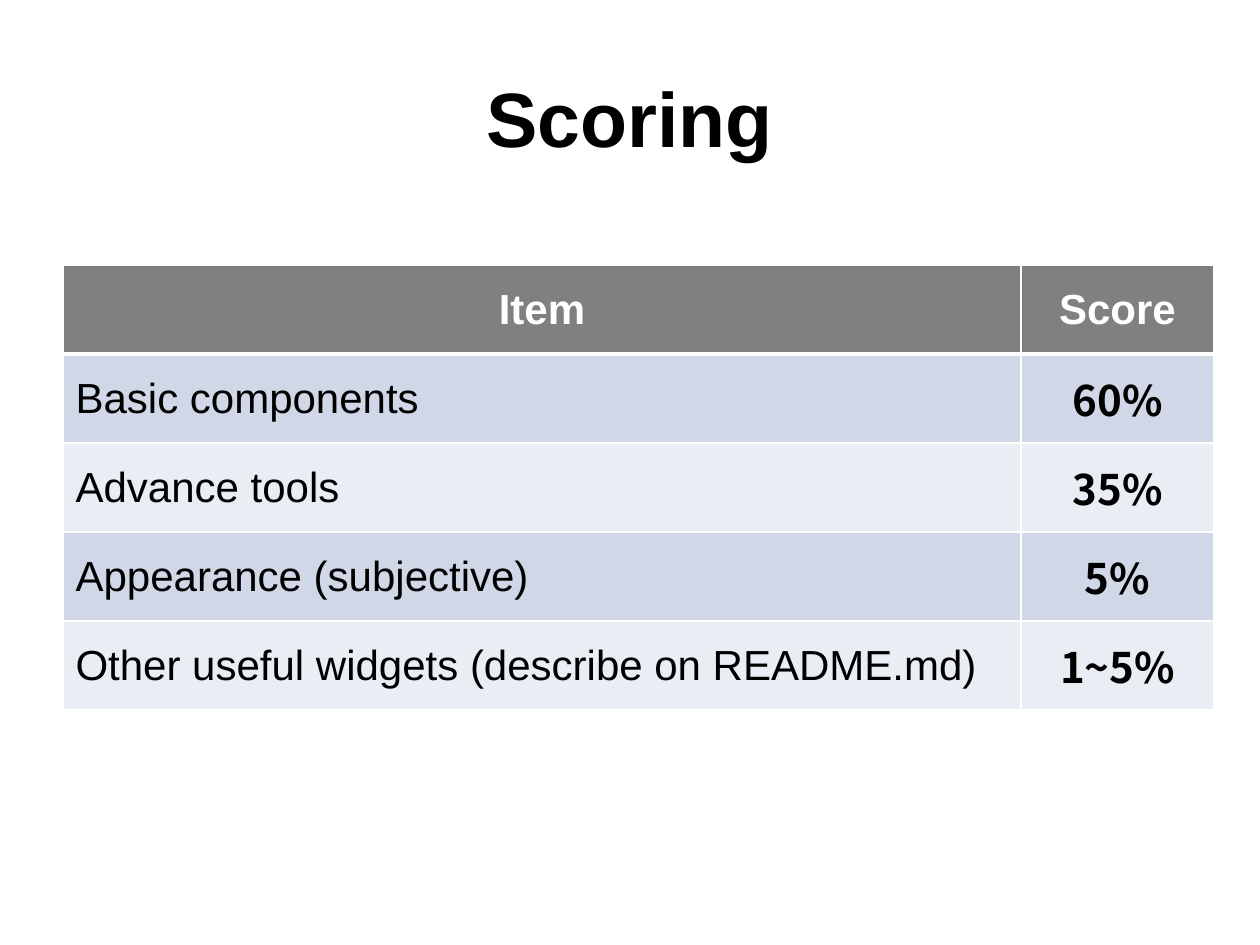
from lxml import etree
from pptx import Presentation
from pptx.dml.color import RGBColor
from pptx.enum.text import MSO_ANCHOR, PP_ALIGN
from pptx.oxml.ns import qn
from pptx.util import Emu, Pt

LEFT, CENTER = PP_ALIGN.LEFT, PP_ALIGN.CENTER
MIDDLE = MSO_ANCHOR.MIDDLE

EMU_PER_PX = 914400 / 126
SLIDE_W, SLIDE_H = 1260, 945

BLACK, WHITE, GRAY = "000000", "FFFFFF", "808080"
BANDS = ("D0D8E8", "E9EDF4")

TITLE = {"name": "Arial", "size": Pt(44), "bold": True}
HEADER = {"name": "Arial", "size": Pt(24), "bold": True}
ITEM = {"name": "Arial", "size": Pt(24), "bold": False}
SCORE = {"name": "Noto Sans CJK SC", "size": Pt(24), "bold": True}

COL_WIDTHS = (958, 193)
ROW_HEIGHT = 89
ROWS = (
    ("Item", "Score"),
    ("Basic components", "60%"),
    ("Advance tools", "35%"),
    ("Appearance (subjective)", "5%"),
    ("Other useful widgets (describe on README.md)", "1~5%"),
)


def px(n):
    return Emu(round(n * EMU_PER_PX))


def rgb(value):
    return RGBColor.from_string(value)


def write(tf, text, fmt, color, align):
    p = tf.paragraphs[0]
    p.alignment = align
    r = p.add_run()
    r.text = text
    for name, value in fmt.items():
        setattr(r.font, name, value)
    r.font.color.rgb = rgb(color)


def set_borders(cell, widths):
    """Draw white borders; widths are points for left, right, top, bottom."""
    tc_pr = cell._tc.get_or_add_tcPr()
    for i, (side, width) in enumerate(zip("LRTB", widths)):
        ln = etree.Element(qn(f"a:ln{side}"), w=str(Pt(width)))
        fill = etree.SubElement(ln, qn("a:solidFill"))
        etree.SubElement(fill, qn("a:srgbClr"), val=WHITE)
        tc_pr.insert(i, ln)  # borders come before the fill


def add_title(s, text):
    sp = s.shapes.add_textbox(px(63), px(38), px(1134), px(158))
    tf = sp.text_frame
    tf.word_wrap = True
    tf.vertical_anchor = MIDDLE
    write(tf, text, TITLE, BLACK, CENTER)


def fill_cell(cell, text, row, col):
    # Gray header above alternating bands
    if row == 0:
        fmt, color, fill, align = HEADER, WHITE, GRAY, CENTER
    else:
        fmt, align = ((ITEM, LEFT), (SCORE, CENTER))[col]
        color, fill = BLACK, BANDS[(row - 1) % 2]
    cell.fill.solid()
    cell.fill.fore_color.rgb = rgb(fill)
    cell.vertical_anchor = MIDDLE
    write(cell.text_frame, text, fmt, color, align)
    # Thick rule between the header and the body
    set_borders(cell, (1, 1, 3 if row == 1 else 1, 3 if row == 0 else 1))


def add_score_table(s):
    table = s.shapes.add_table(
        len(ROWS), len(COL_WIDTHS), px(63), px(265),
        px(sum(COL_WIDTHS)), px(ROW_HEIGHT * len(ROWS))).table
    for column, width in zip(table.columns, COL_WIDTHS):
        column.width = px(width)
    for i, texts in enumerate(ROWS):
        table.rows[i].height = px(ROW_HEIGHT)
        for j, text in enumerate(texts):
            fill_cell(table.cell(i, j), text, i, j)


def main():
    prs = Presentation()
    prs.slide_width, prs.slide_height = px(SLIDE_W), px(SLIDE_H)
    s = prs.slides.add_slide(prs.slide_layouts[6])
    add_title(s, "Scoring")
    add_score_table(s)
    prs.save("out.pptx")


if __name__ == "__main__":
    main()
